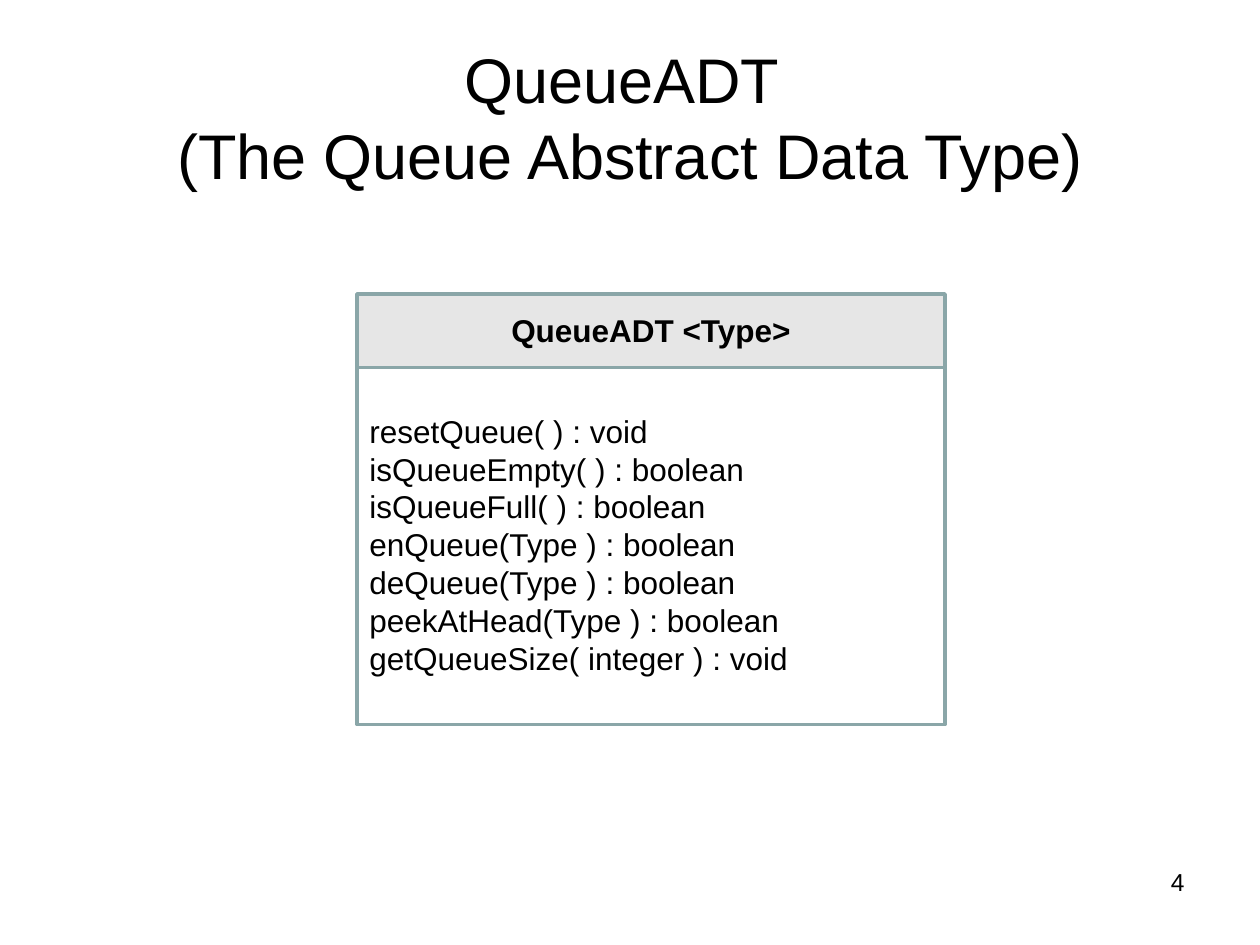
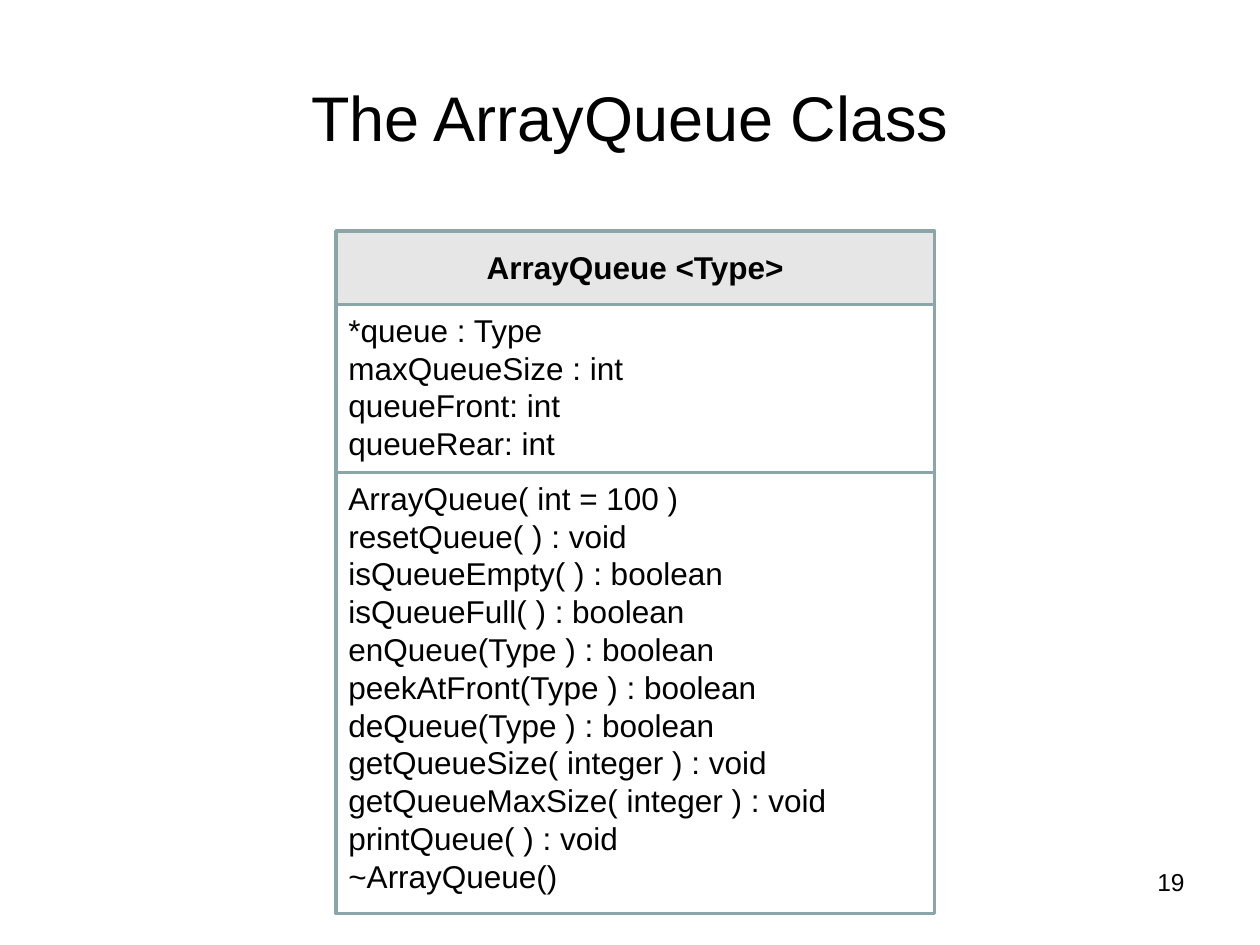
from dataclasses import dataclass

from pptx import Presentation
from pptx.dml.color import RGBColor
from pptx.enum.shapes import MSO_SHAPE
from pptx.enum.text import MSO_ANCHOR, MSO_AUTO_SIZE, PP_ALIGN
from pptx.presentation import Presentation as Deck
from pptx.slide import Slide
from pptx.util import Inches, Length, Pt


@dataclass(frozen=True)
class Theme:
    font: str = "Arial"
    text: RGBColor = RGBColor(0x00, 0x00, 0x00)
    border: RGBColor = RGBColor(0x8A, 0xA6, 0xA8)
    header: RGBColor = RGBColor(0xE6, 0xE6, 0xE6)
    title_size: int = 36
    body_size: int = 18
    number_size: int = 14
    border_width: int = 2


@dataclass(frozen=True)
class Box:
    """An area in grid units: 12 columns or rows to the inch."""
    x: float
    y: float
    w: float
    h: float

    def lengths(self) -> tuple[Length, ...]:
        return tuple(Inches(v / 12) for v in (self.x, self.y, self.w, self.h))


@dataclass(frozen=True)
class Section:
    """One compartment of a class diagram."""
    rows: int
    lines: tuple[str, ...]
    lead: int = 0  # empty lines above the first entry


@dataclass(frozen=True)
class ClassSlide:
    title: str
    number: int
    class_name: str
    x: int
    y: int
    w: int
    sections: tuple[Section, ...]


THEME = Theme()
TITLE_BOX = Box(6, 3.6, 108, 15)
NUMBER_BOX = Box(103, 82, 11, 6.2)
HEADER_ROWS = 7
LINE_ROWS = 3.63
INSET_ROWS = 0.6

SLIDES = (
    ClassSlide(
        "QueueADT \v(The Queue Abstract Data Type)", 4, "QueueADT <Type>",
        34, 28, 56,
        (Section(34, (
            "resetQueue( ) : void",
            "isQueueEmpty( ) : boolean",
            "isQueueFull( ) : boolean",
            "enQueue(Type ) : boolean",
            "deQueue(Type ) : boolean",
            "peekAtHead(Type ) : boolean",
            "getQueueSize( integer ) : void",
        ), lead=1),),
    ),
    ClassSlide(
        "The ArrayQueue Class", 19, "ArrayQueue <Type>",
        32, 22, 57,
        (
            Section(16, (
                "*queue : Type",
                "maxQueueSize : int",
                "queueFront: int",
                "queueRear: int",
            )),
            Section(42, (
                "ArrayQueue( int = 100 )",
                "resetQueue( ) : void",
                "isQueueEmpty( ) : boolean",
                "isQueueFull( ) : boolean",
                "enQueue(Type ) : boolean",
                "peekAtFront(Type ) : boolean",
                "deQueue(Type ) : boolean",
                "getQueueSize( integer ) : void",
                "getQueueMaxSize( integer ) : void",
                "printQueue( ) : void",
                "~ArrayQueue()",
            )),
        ),
    ),
)


def format_text(tf, size: int, align: PP_ALIGN, bold: bool = False) -> None:
    for p in tf.paragraphs:
        p.alignment = align
        p.font.name = THEME.font
        p.font.size = Pt(size)
        p.font.bold = bold
        p.font.color.rgb = THEME.text


def add_text(s: Slide, box: Box, text: str, size: int = THEME.body_size,
             align: PP_ALIGN = PP_ALIGN.LEFT, bold: bool = False, lead: int = 0) -> None:
    tf = s.shapes.add_textbox(*box.lengths()).text_frame
    tf.word_wrap = True
    tf.margin_top = Inches((INSET_ROWS + lead * LINE_ROWS) / 12)
    tf.text = text
    format_text(tf, size, align, bold)


def add_frame(s: Slide, box: Box, fill: RGBColor | None = None) -> None:
    sp = s.shapes.add_shape(MSO_SHAPE.RECTANGLE, *box.lengths())
    sp.shadow.inherit = False
    if fill is None:
        sp.fill.background()
    else:
        sp.fill.solid()
        sp.fill.fore_color.rgb = fill
    sp.line.color.rgb = THEME.border
    sp.line.width = Pt(THEME.border_width)


def set_title(s: Slide, text: str) -> None:
    title = s.shapes.title
    title.left, title.top, title.width, title.height = TITLE_BOX.lengths()
    tf = title.text_frame
    tf.auto_size = MSO_AUTO_SIZE.NONE
    tf.vertical_anchor = MSO_ANCHOR.MIDDLE
    tf.text = text
    format_text(tf, THEME.title_size, PP_ALIGN.CENTER)


def add_class_diagram(s: Slide, c: ClassSlide) -> None:
    # Header with the class name
    add_frame(s, Box(c.x, c.y, c.w, HEADER_ROWS), THEME.header)
    add_text(s, Box(c.x, c.y + 1, c.w, HEADER_ROWS - 2), c.class_name,
             align=PP_ALIGN.CENTER, bold=True)

    # Compartments stacked below it
    y = c.y + HEADER_ROWS
    for section in c.sections:
        add_frame(s, Box(c.x, y, c.w, section.rows))
        text_rows = (len(section.lines) + section.lead) * LINE_ROWS + 2 * INSET_ROWS
        add_text(s, Box(c.x, y, c.w, text_rows), "\n".join(section.lines),
                 lead=section.lead)
        y += section.rows


def add_class_slide(prs: Deck, c: ClassSlide) -> None:
    s = prs.slides.add_slide(prs.slide_layouts[5])
    set_title(s, c.title)
    add_text(s, NUMBER_BOX, str(c.number), THEME.number_size, PP_ALIGN.RIGHT)
    add_class_diagram(s, c)


def main() -> None:
    prs = Presentation()
    prs.slide_width, prs.slide_height = Inches(10), Inches(7.5)
    for c in SLIDES:
        add_class_slide(prs, c)
    prs.save("out.pptx")


if __name__ == "__main__":
    main()
